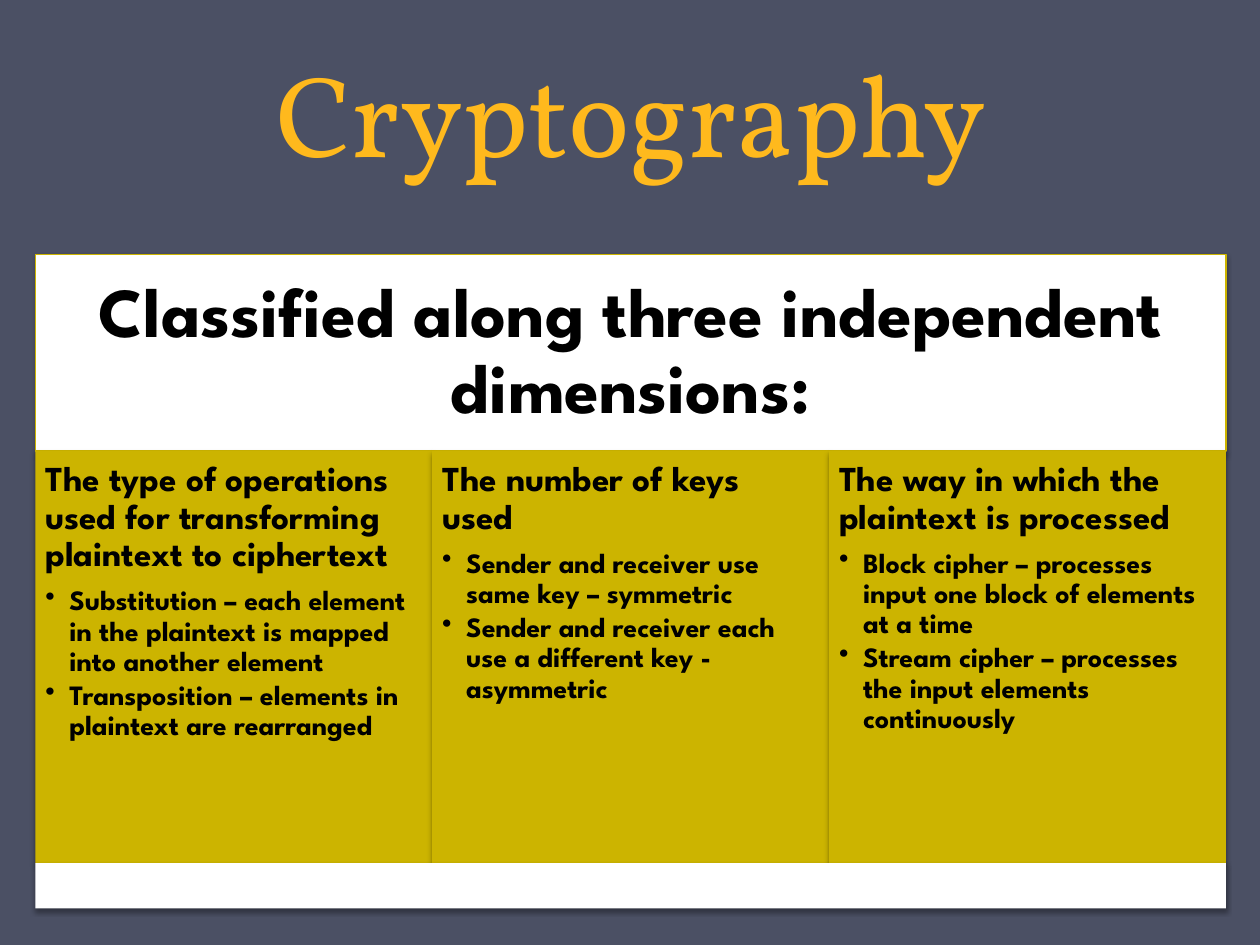
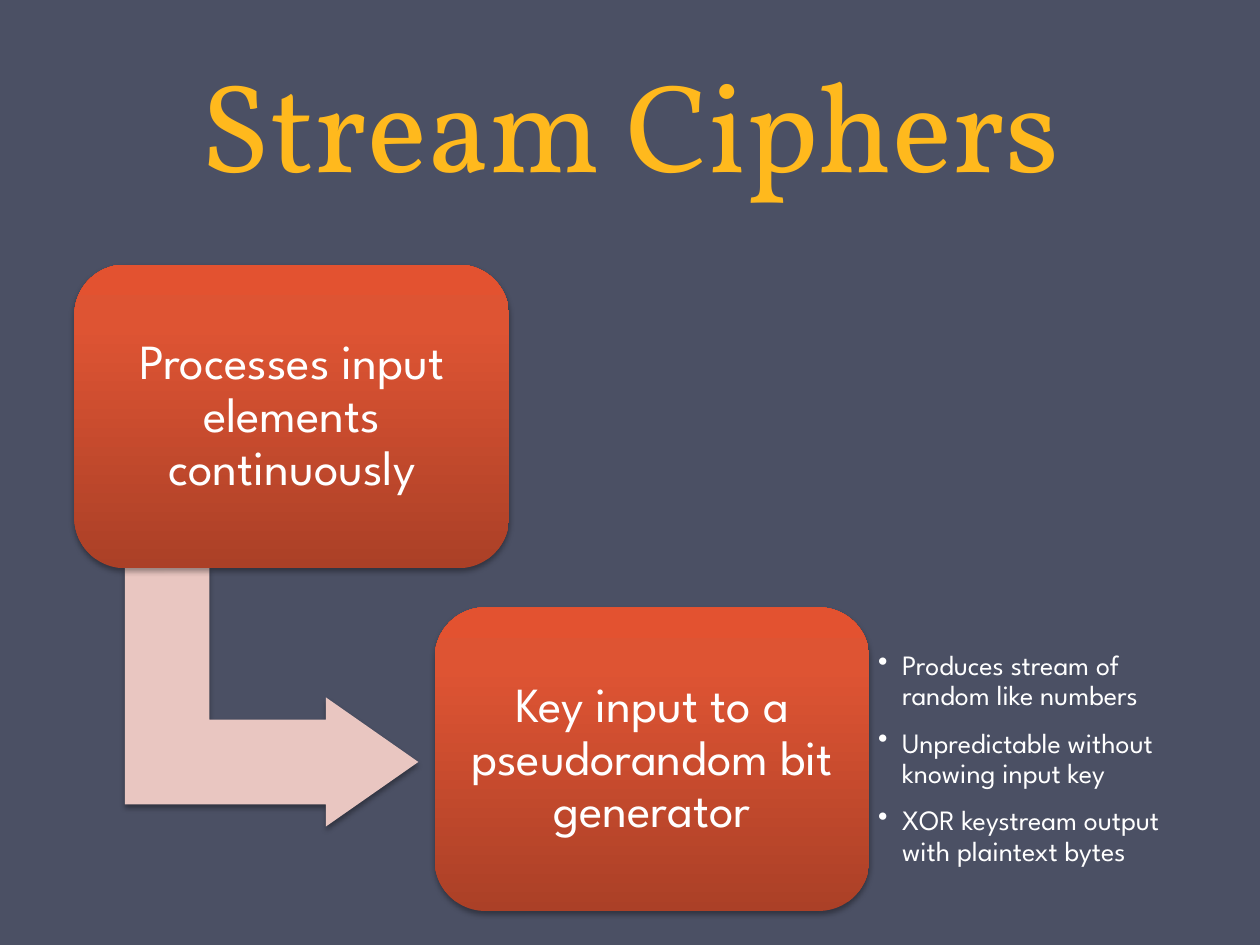
from lxml.etree import SubElement, fromstring
from pptx import Presentation
from pptx.dml.color import RGBColor
from pptx.enum.shapes import MSO_SHAPE
from pptx.enum.text import MSO_ANCHOR, MSO_AUTO_SIZE, PP_ALIGN
from pptx.oxml.ns import nsdecls, qn
from pptx.util import Inches, Pt


class Theme:
    BACK, TITLE = "4B5064", "FFB91D"
    WHITE, BLACK = "FFFFFF", "000000"
    GOLD, PINK = "CCB400", "E9C6C1"
    RED = ((0, "AB4027"), (80, "DE5433"), (100, "E35230"))
    TITLE_FONT, BODY_FONT = "Vollkorn", "League Spartan"
    BANNER, STEP, HEAD, BULLET = 40, 28, 20, 16


# Content
CRYPTO_TITLE = "Cryptography"
BANNER_TEXT = "Classified along three independent dimensions:"
DIMENSIONS = [
    ("The type of operations used for transforming plaintext to ciphertext",
     ["Substitution – each element in the plaintext is mapped into another element",
      "Transposition – elements in plaintext are rearranged"]),
    ("The number of keys used",
     ["Sender and receiver use same key – symmetric",
      "Sender and receiver each use a different key - asymmetric"]),
    ("The way in which the plaintext is processed",
     ["Block cipher – processes input one block of elements at a time",
      "Stream cipher – processes the input elements continuously"]),
]
STREAM_TITLE = "Stream Ciphers"
STEPS = ["Processes input elements continuously",
         "Key input to a pseudorandom bit generator"]
KEYSTREAM_NOTES = ["Produces stream of random like numbers",
                   "Unpredictable without knowing input key",
                   "XOR keystream output with plaintext bytes"]


# Shared helpers
def rgb(color):
    return RGBColor.from_string(color)


def inches(*lengths):
    return [Inches(v) for v in lengths]


def add_run(p, text, size, color, font=Theme.BODY_FONT, bold=False):
    r = p.add_run()
    r.text = text
    r.font.size, r.font.name, r.font.bold = Pt(size), font, bold
    r.font.color.rgb = rgb(color)


def add_title_slide(prs, title, size, box):
    slide = prs.slides.add_slide(prs.slide_layouts[5])
    sp = slide.shapes.title
    sp.left, sp.top, sp.width, sp.height = inches(*box)
    tf = sp.text_frame
    tf.auto_size, tf.vertical_anchor = MSO_AUTO_SIZE.NONE, MSO_ANCHOR.BOTTOM
    p = tf.paragraphs[0]
    p.alignment, p.line_spacing = PP_ALIGN.CENTER, Pt(58)
    add_run(p, title, size, Theme.TITLE, Theme.TITLE_FONT)
    return slide


def set_gradient(sp, stops):
    """Fill from the bottom edge up."""
    gs = "".join(f'<a:gs pos="{pos * 1000}"><a:srgbClr val="{color}"/></a:gs>'
                 for pos, color in stops)
    grad = fromstring(f'<a:gradFill {nsdecls("a")} rotWithShape="1"><a:gsLst>{gs}</a:gsLst>'
                      '<a:lin ang="16200000" scaled="0"/></a:gradFill>')
    sp._element.spPr.find(qn("a:prstGeom")).addnext(grad)


def add_block(slide, kind, box, fill, line=None):
    sp = slide.shapes.add_shape(kind, *inches(*box))
    if isinstance(fill, str):
        sp.fill.solid()
        sp.fill.fore_color.rgb = rgb(fill)
    else:
        set_gradient(sp, fill)
    if line:
        sp.line.color.rgb, sp.line.width = rgb(line), Pt(0.75)
    else:
        sp.line.fill.background()
    # Soft shadow straight below
    sp.shadow.inherit = False
    effects = sp._element.spPr.find(qn("a:effectLst"))
    shadow = SubElement(effects, qn("a:outerShdw"), blurRad=str(Pt(3.1)), dist=str(Pt(1.8)),
                        dir="5400000", rotWithShape="0")
    color = SubElement(shadow, qn("a:srgbClr"), val=Theme.BLACK)
    SubElement(color, qn("a:alpha"), val="35000")
    return sp


def set_frame(sp, inset, anchor):
    tf = sp.text_frame
    tf.word_wrap, tf.vertical_anchor = True, anchor
    tf.margin_left = tf.margin_top = tf.margin_right = tf.margin_bottom = Inches(inset)
    return tf


def add_paragraph(tf, text, size, color, after, align=PP_ALIGN.LEFT, bold=False, bullet=False):
    p = tf.paragraphs[0]
    if p.runs:
        p = tf.add_paragraph()
    if bullet:
        p.level = 1
        pPr = p._p.get_or_add_pPr()
        pPr.set("marL", str(Inches(0.19)))
        pPr.set("indent", str(-Inches(0.19)))
        SubElement(pPr, qn("a:buChar"), char="•")
    p.alignment, p.line_spacing, p.space_after = align, 0.9, Pt(after)
    add_run(p, text, size, color, bold=bold)


# Slide: three dimensions under a banner
def build_cryptography(prs):
    slide = add_title_slide(prs, CRYPTO_TITLE, 66, (0.51, -0.27, 9, 1.75))
    left, width = 0.28, 9.45
    banner_top, columns_top, foot_top = 2.02, 3.58, 6.85

    sp = add_block(slide, MSO_SHAPE.RECTANGLE,
                   (left, banner_top, width, columns_top - banner_top), Theme.WHITE, Theme.GOLD)
    tf = set_frame(sp, 0.17, MSO_ANCHOR.MIDDLE)
    add_paragraph(tf, BANNER_TEXT, Theme.BANNER, Theme.BLACK, 14, PP_ALIGN.CENTER, bold=True)

    column = width / len(DIMENSIONS)
    for i, (heading, bullets) in enumerate(DIMENSIONS):
        sp = add_block(slide, MSO_SHAPE.RECTANGLE,
                       (left + i * column, columns_top, column, foot_top - columns_top), Theme.GOLD)
        tf = set_frame(sp, 0.08, MSO_ANCHOR.TOP)
        add_paragraph(tf, heading, Theme.HEAD, Theme.BLACK, 7, bold=True)
        for text in bullets:
            add_paragraph(tf, text, Theme.BULLET, Theme.BLACK, 2.4, bold=True, bullet=True)

    add_block(slide, MSO_SHAPE.RECTANGLE, (left, foot_top, width, 0.36), Theme.WHITE)


# Slide: two steps joined by a bent arrow
def build_stream_ciphers(prs):
    slide = add_title_slide(prs, STREAM_TITLE, 72, (0.5, 0, 9, 1.62))
    left, top, width, height = 0.59, 2.1, 3.45, 2.41
    step_x, step_y = 2.86, 2.72

    arrow = add_block(slide, MSO_SHAPE.BENT_UP_ARROW, (1.13, 4.37, 2.05, 2.33), Theme.PINK)
    arrow.rotation = 90
    for i, value in enumerate((0.328, 0.25, 0.358)):
        arrow.adjustments[i] = value

    for i, text in enumerate(STEPS):
        sp = add_block(slide, MSO_SHAPE.ROUNDED_RECTANGLE,
                       (left + i * step_x, top + i * step_y, width, height), Theme.RED)
        tf = set_frame(sp, 0.12, MSO_ANCHOR.MIDDLE)
        add_paragraph(tf, text, Theme.STEP, Theme.WHITE, 9.8, PP_ALIGN.CENTER)

    sp = slide.shapes.add_textbox(*inches(left + step_x + width, 5.05, 2.51, 1.95))
    tf = set_frame(sp, 0.07, MSO_ANCHOR.MIDDLE)
    for text in KEYSTREAM_NOTES:
        add_paragraph(tf, text, Theme.BULLET, Theme.WHITE, 9.9, bullet=True)


def main():
    prs = Presentation()
    prs.slide_width, prs.slide_height = inches(10, 7.5)
    back = prs.slide_master.background.fill
    back.solid()
    back.fore_color.rgb = rgb(Theme.BACK)
    build_cryptography(prs)
    build_stream_ciphers(prs)
    prs.save("out.pptx")


if __name__ == "__main__":
    main()
